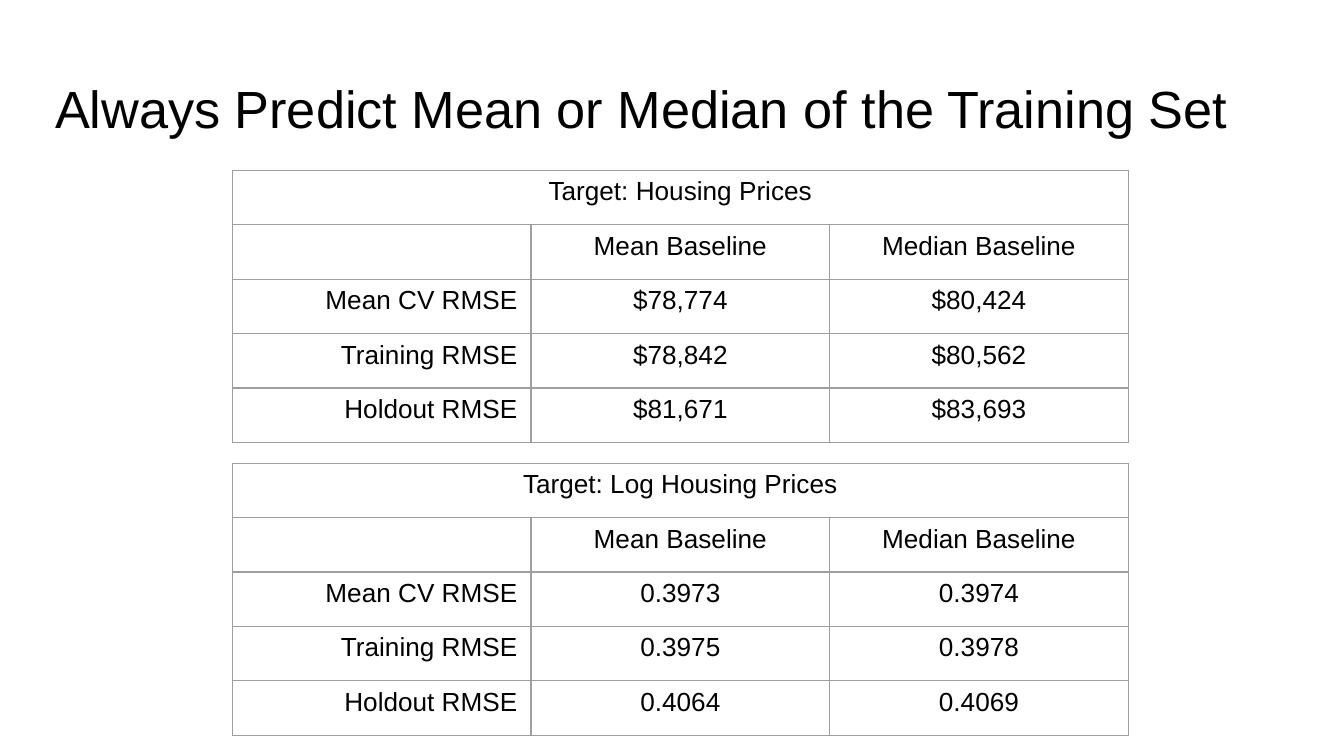
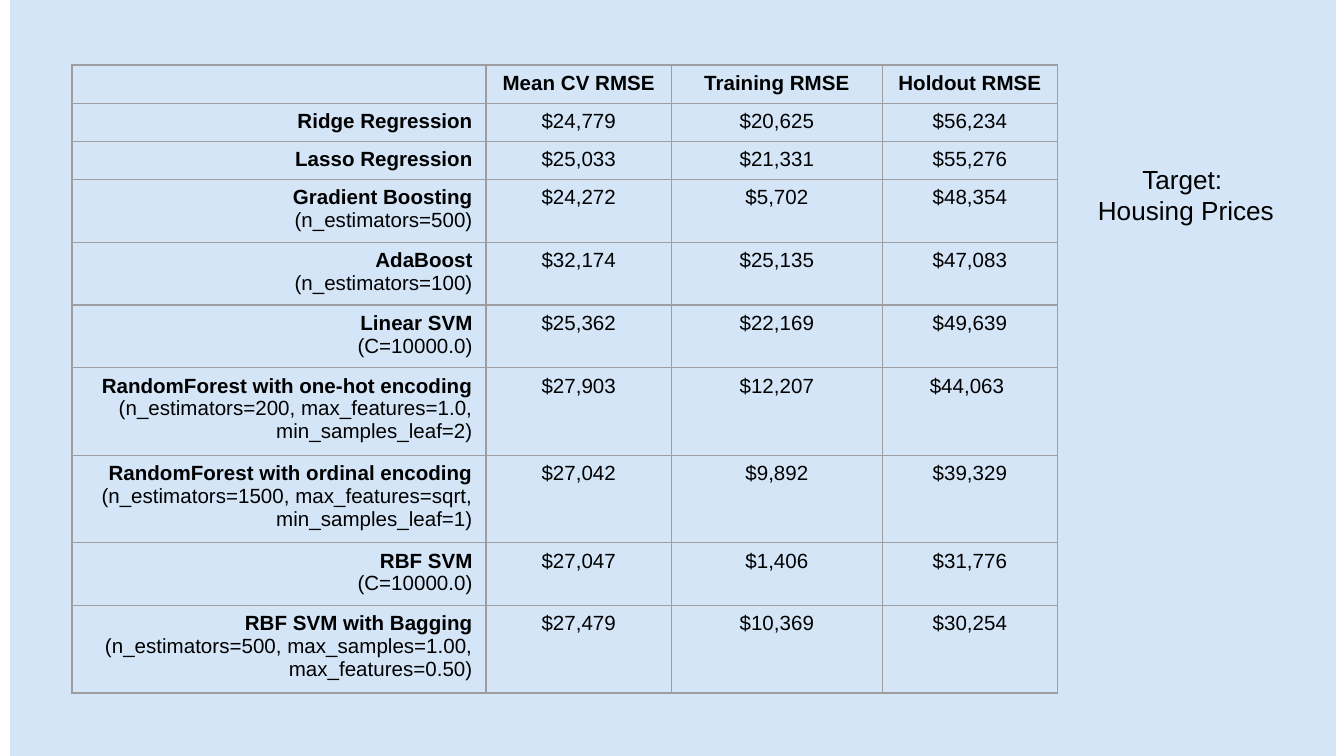
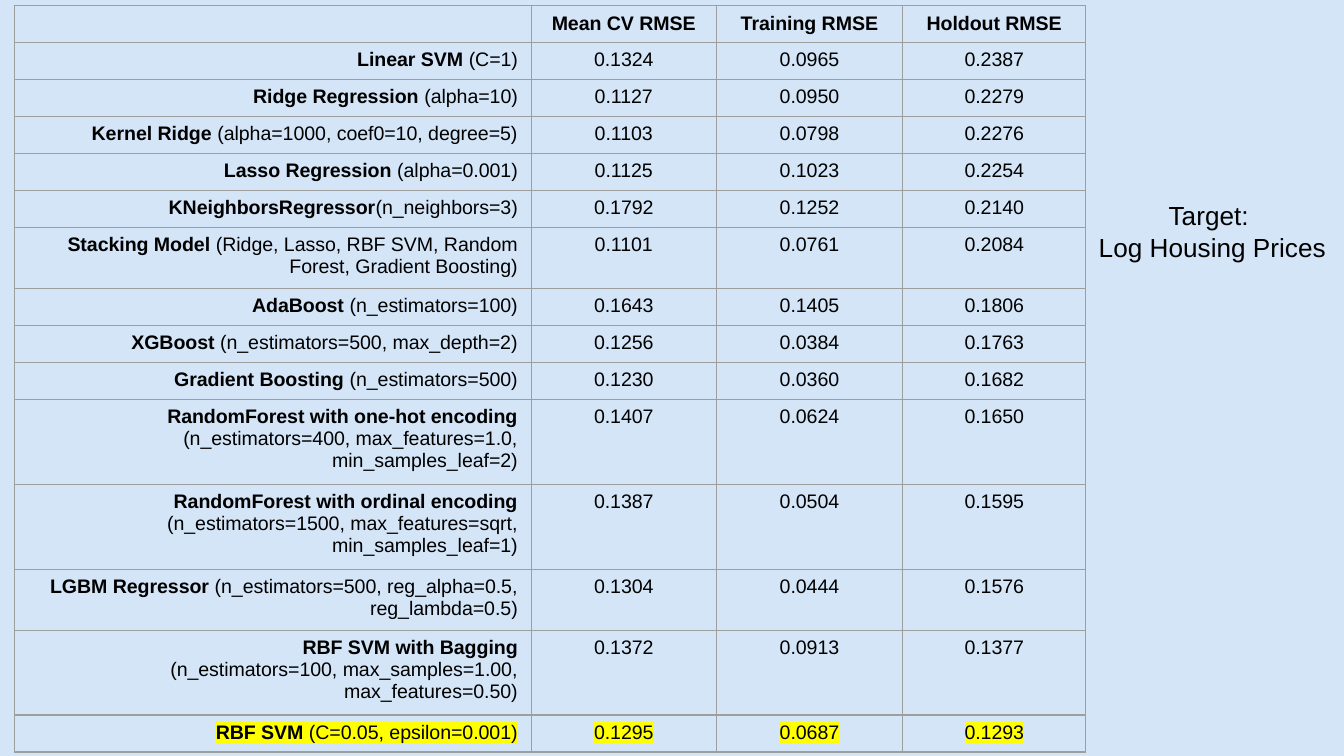
from lxml.etree import SubElement
from pptx import Presentation
from pptx.dml.color import RGBColor
from pptx.enum.shapes import MSO_SHAPE
from pptx.enum.text import MSO_ANCHOR, PP_ALIGN
from pptx.oxml.ns import qn
from pptx.util import Pt

COLORS = {"ink": "000000", "panel": "D4E5F7", "grid": "9E9E9E", "mark": "FFFF00"}
FONT = "Arial"
WIDE, HIGH = 720, 405
LEFT, MID, RIGHT = PP_ALIGN.LEFT, PP_ALIGN.CENTER, PP_ALIGN.RIGHT
SCORES = ["Mean CV RMSE", "Training RMSE", "Holdout RMSE"]
BASES = ["Mean Baseline", "Median Baseline"]

BASE_PRICE = [("$78,774", "$80,424"), ("$78,842", "$80,562"), ("$81,671", "$83,693")]
BASE_LOG = [("0.3973", "0.3974"), ("0.3975", "0.3978"), ("0.4064", "0.4069")]

PRICE_ROWS = [
    (1, "Ridge Regression", "$24,779", "$20,625", "$56,234"),
    (1, "Lasso Regression", "$25,033", "$21,331", "$55,276"),
    (2, "Gradient Boosting\n(n_estimators=500)", "$24,272", "$5,702", "$48,354"),
    (2, "AdaBoost\n(n_estimators=100)", "$32,174", "$25,135", "$47,083"),
    (2, "Linear SVM\n(C=10000.0)", "$25,362", "$22,169", "$49,639"),
    (3, "RandomForest with one-hot encoding\n"
        "(n_estimators=200, max_features=1.0, min_samples_leaf=2)",
     "$27,903", "$12,207", "$44,063 "),
    (3, "RandomForest with ordinal encoding\n"
        "(n_estimators=1500, max_features=sqrt, min_samples_leaf=1)",
     "$27,042", "$9,892", "$39,329"),
    (2, "RBF SVM\n(C=10000.0)", "$27,047", "$1,406", "$31,776"),
    (3, "RBF SVM with Bagging\n"
        "(n_estimators=500, max_samples=1.00, max_features=0.50)",
     "$27,479", "$10,369", "$30,254"),
]

LOG_ROWS = [
    (1, "Linear SVM (C=1)", "0.1324", "0.0965", "0.2387"),
    (1, "Ridge Regression (alpha=10)", "0.1127", "0.0950", "0.2279"),
    (1, "Kernel Ridge (alpha=1000, coef0=10, degree=5)", "0.1103", "0.0798", "0.2276"),
    (1, "Lasso Regression (alpha=0.001)", "0.1125", "0.1023", "0.2254"),
    (1, "KNeighborsRegressor(n_neighbors=3)", "0.1792", "0.1252", "0.2140"),
    (2, "Stacking Model (Ridge, Lasso, RBF SVM, Random Forest, Gradient Boosting)",
     "0.1101", "0.0761", "0.2084"),
    (1, "AdaBoost (n_estimators=100)", "0.1643", "0.1405", "0.1806"),
    (1, "XGBoost (n_estimators=500, max_depth=2)", "0.1256", "0.0384", "0.1763"),
    (1, "Gradient Boosting (n_estimators=500)", "0.1230", "0.0360", "0.1682"),
    (3, "RandomForest with one-hot encoding\n"
        "(n_estimators=400, max_features=1.0, min_samples_leaf=2)",
     "0.1407", "0.0624", "0.1650"),
    (3, "RandomForest with ordinal encoding\n"
        "(n_estimators=1500, max_features=sqrt, min_samples_leaf=1)",
     "0.1387", "0.0504", "0.1595"),
    (2, "LGBM Regressor (n_estimators=500, reg_alpha=0.5, reg_lambda=0.5)",
     "0.1304", "0.0444", "0.1576"),
    (3, "RBF SVM with Bagging\n"
        "(n_estimators=100, max_samples=1.00, max_features=0.50)",
     "0.1372", "0.0913", "0.1377"),
    (1, "RBF SVM (C=0.05, epsilon=0.001)", "0.1295", "0.0687", "0.1293"),
]


def color(name):
    return RGBColor.from_string(COLORS[name])


def paint(run, name):
    fill = run._r.get_or_add_rPr().find(qn("a:solidFill"))
    mark = fill.makeelement(qn("a:highlight"))
    SubElement(mark, qn("a:srgbClr"), val=COLORS[name])
    fill.addnext(mark)


def write(frame, text, size=14, bold=False, align=MID, mark=None):
    for i, line in enumerate(text.split("\n")):
        para = frame.add_paragraph() if i else frame.paragraphs[0]
        para.alignment = align
        head, sign, tail = line.partition("(")
        for part, heavy in ((head, bold), (sign + tail, False)):
            if part:
                run = para.add_run()
                run.text = part
                run.font.size = Pt(size)
                run.font.bold = heavy
                run.font.color.rgb = color("ink")
                run.font.name = FONT
                if mark:
                    paint(run, mark)
        if not line:
            SubElement(para._p, qn("a:endParaRPr"), sz=str(int(size * 100)))


def label(slide, box, text, inset=None, **style):
    frame = slide.shapes.add_textbox(*map(Pt, box)).text_frame
    frame.word_wrap = True
    if inset is not None:
        frame.margin_left = frame.margin_right = Pt(inset)
        frame.margin_top = frame.margin_bottom = Pt(inset)
        frame.vertical_anchor = MSO_ANCHOR.MIDDLE
    write(frame, text, **style)


def panel(slide, box):
    shape = slide.shapes.add_shape(MSO_SHAPE.RECTANGLE, *map(Pt, box))
    shape.shadow.inherit = False
    shape.fill.solid()
    shape.fill.fore_color.rgb = color("panel")
    shape.line.color.rgb = color("panel")
    shape.line.width = Pt(2)


def frame_cell(cell):
    props = cell._tc.get_or_add_tcPr()
    for side in ("lnL", "lnR", "lnT", "lnB"):
        line = SubElement(props, qn("a:" + side), w=str(Pt(0.75)))
        fill = SubElement(line, qn("a:solidFill"))
        SubElement(fill, qn("a:srgbClr"), val=COLORS["grid"])
    cell.fill.background()


def grid(slide, spot, cols, rows):
    box = (*spot, sum(cols), sum(rows))
    table = slide.shapes.add_table(len(rows), len(cols), *map(Pt, box)).table
    table.first_row = table.horz_banding = False
    for col, width in zip(table.columns, cols):
        col.width = Pt(width)
    for row, height in zip(table.rows, rows):
        row.height = Pt(height)
    for cell in table.iter_cells():
        frame_cell(cell)
    return table


def base_table(slide, spot, target, pairs):
    table = grid(slide, spot, [160] * 3, [29.16] * 5)
    table.cell(0, 0).merge(table.cell(0, 2))
    write(table.cell(0, 0).text_frame, target)
    body = [("", *BASES)] + [(name, *pair) for name, pair in zip(SCORES, pairs)]
    for r, row in enumerate(body, 1):
        for c, text in enumerate(row):
            write(table.cell(r, c).text_frame, text, align=MID if c else RIGHT)


def score_table(slide, spot, cols, rows, size, step, pad, best=None):
    body = [(1, "", *SCORES)] + rows
    table = grid(slide, spot, cols, [row[0] * step + pad for row in body])
    for r, (_, *texts) in enumerate(body):
        for c, text in enumerate(texts):
            write(table.cell(r, c).text_frame, text, size=size,
                  bold=r == 0 or c == 0, align=MID if c else RIGHT,
                  mark="mark" if r == best else None)


def base_slide(slide):
    label(slide, (24.5, 35, 671, 45.5),
          "Always Predict Mean or Median of the Training Set",
          inset=5, size=28, align=LEFT)
    base_table(slide, (124.5, 91.3), "Target: Housing Prices", BASE_PRICE)
    base_table(slide, (124.5, 248.2), "Target: Log Housing Prices", BASE_LOG)


def price_slide(slide):
    panel(slide, (6.6, 0, 708, HIGH))
    score_table(slide, (38.6, 34.8), [221.8, 99.3, 113, 93.8], PRICE_ROWS,
                size=11, step=12.3, pad=7.1)
    label(slide, (574.5, 84, 121.7, 41), "Target: \nHousing Prices")


def log_slide(slide):
    panel(slide, (0, 0, WIDE, HIGH))
    label(slide, (581.5, 103.5, 136, 41), "Target: \nLog Housing Prices")
    score_table(slide, (7.7, 3), [277, 99, 100, 98], LOG_ROWS,
                size=10.5, step=12.85, pad=6.95, best=len(LOG_ROWS))


def main():
    deck = Presentation()
    deck.slide_width, deck.slide_height = Pt(WIDE), Pt(HIGH)
    for build in (base_slide, price_slide, log_slide):
        build(deck.slides.add_slide(deck.slide_layouts[6]))
    deck.save("out.pptx")


if __name__ == "__main__":
    main()
